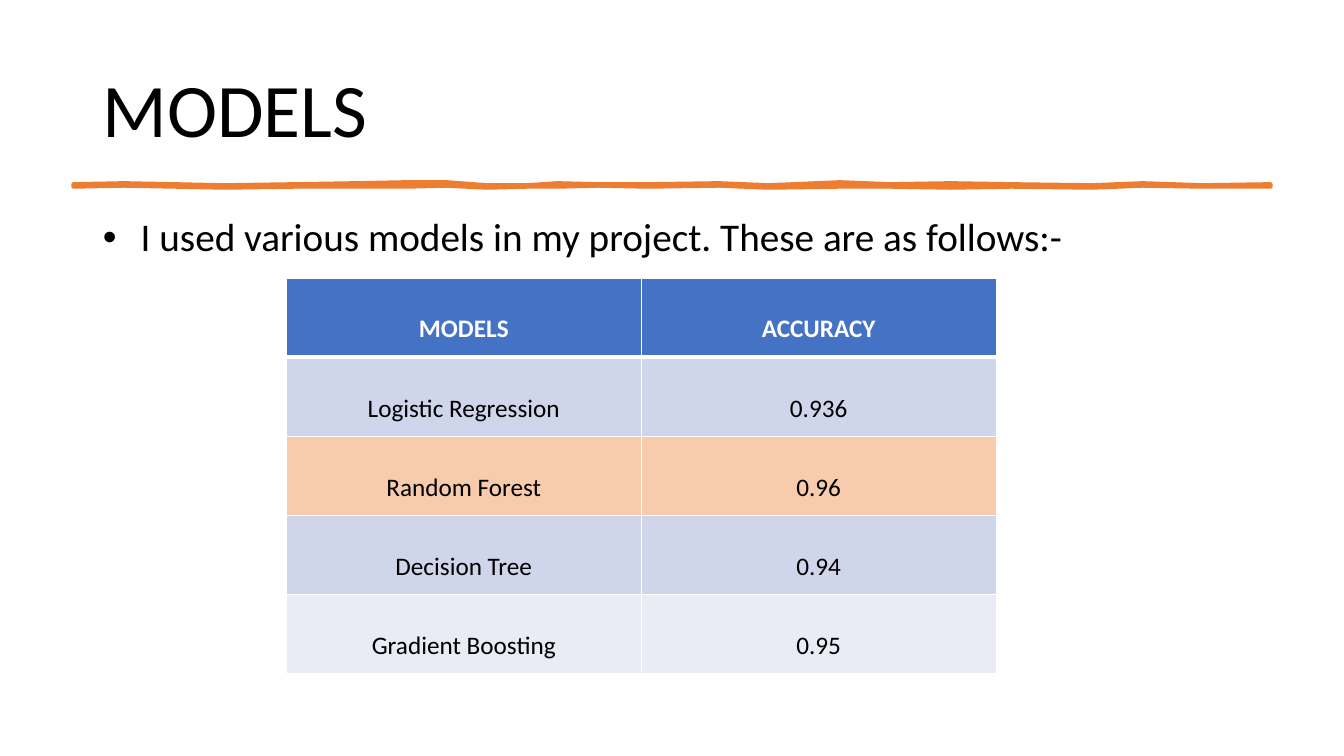
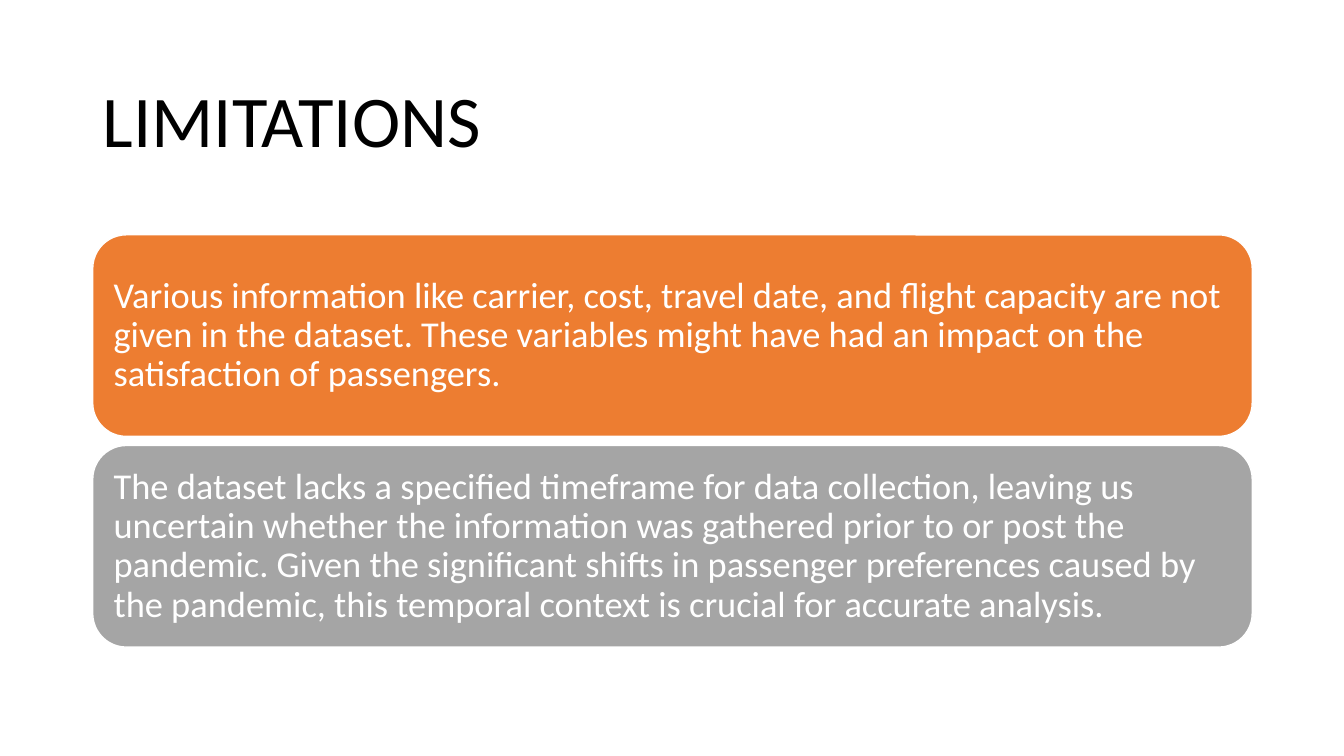
from pptx import Presentation
from pptx.dml.color import RGBColor
from pptx.enum import shapes, text
from pptx.oxml import ns
from pptx.util import Inches, Pt
from lxml import etree

COLORS = {
    "ink": "000000",
    "white": "FFFFFF",
    "orange": "ED7D31",
    "gray": "A5A5A5",
    "header": "4472C4",
    "band": "CFD5EA",
    "light": "E9EBF5",
    "highlight": "F8CBAD",
}
FONT = "Calibri"
MARGIN, CONTENT_WIDTH = 0.92, 11.5
TITLE_LAYOUT, BODY_LAYOUT = 5, 1

MODEL_ROWS = [
    ("header", "MODELS", "ACCURACY"),
    ("band", "Logistic Regression", "0.936"),
    ("highlight", "Random Forest", "0.96"),
    ("band", "Decision Tree", "0.94"),
    ("light", "Gradient Boosting", "0.95"),
]
LIMITATIONS = [
    ("orange", "Various information like carrier, cost, travel date, and flight "
     "capacity are not given in the dataset. These variables might have had an "
     "impact on the satisfaction of passengers."),
    ("gray", "The dataset lacks a specified timeframe for data collection, leaving "
     "us uncertain whether the information was gathered prior to or post the "
     "pandemic. Given the significant shifts in passenger preferences caused by "
     "the pandemic, this temporal context is crucial for accurate analysis."),
]
# Brush outline: distance from the left end, top edge, bottom edge
BRUSH = [
    (0, 0, 0.02), (0.5, -0.01, 0.01), (1, 0, 0.02), (1.5, 0.01, 0.03),
    (2.2, 0, 0.02), (2.8, -0.01, 0.02), (3.3, -0.02, 0.02), (3.7, -0.02, 0.01),
    (4.1, 0.01, 0.03), (4.5, 0.01, 0.02), (4.8, -0.01, 0.02), (5.2, 0, 0.01),
    (5.7, 0, 0.02), (6.4, -0.01, 0.01), (6.9, 0.01, 0.03), (7.6, -0.02, 0.02),
    (8.1, 0, 0.02), (8.7, -0.01, 0.03), (9.3, 0, 0.02), (10.1, 0.01, 0.03),
    (10.6, -0.01, 0.01), (11.2, 0.01, 0.02), (11.87, 0, 0.02),
]


def color(name):
    return RGBColor.from_string(COLORS[name])


def place(shape, box):
    shape.left, shape.top, shape.width, shape.height = map(Inches, box)


def write(frame, words, size, name, spacing=0.9, align=text.PP_ALIGN.LEFT, bold=False):
    frame.text = words
    para = frame.paragraphs[0]
    para.alignment = align
    para.line_spacing = spacing
    para.space_before = Pt(0)
    for span in para.runs:
        span.font.name = FONT
        span.font.size = Pt(size)
        span.font.bold = bold
        span.font.color.rgb = color(name)


def add_title(page, words, box, size):
    title = page.shapes.title
    place(title, box)
    frame = title.text_frame
    frame.auto_size = text.MSO_AUTO_SIZE.NONE
    frame.vertical_anchor = text.MSO_ANCHOR.MIDDLE
    write(frame, words, size, "ink")


def add_body(page, words, box):
    body = page.placeholders[1]
    place(body, box)
    frame = body.text_frame
    frame.auto_size = text.MSO_AUTO_SIZE.NONE
    # Plain sentence without bullet or hanging indent
    frame.text = words
    properties = frame.paragraphs[0]._p.get_or_add_pPr()
    properties.set("marL", "0")
    properties.set("indent", "0")
    etree.SubElement(properties, ns.qn("a:buNone"))
    write(frame, words, 28, "ink")


def add_brush_line(page, left, top):
    upper = [(left + x, top + high) for x, high, low in BRUSH]
    lower = [(left + x, top + low) for x, high, low in reversed(BRUSH)]
    points = [(Inches(x), Inches(y)) for x, y in upper + lower]
    builder = page.shapes.build_freeform(*points[0])
    builder.add_line_segments(points[1:], close=True)
    brush = builder.convert_to_shape()
    brush.shadow.inherit = False
    brush.fill.solid()
    brush.fill.fore_color.rgb = color("orange")
    brush.line.color.rgb = color("orange")
    brush.line.width = Pt(3.25)
    etree.SubElement(brush.line._get_or_add_ln(), ns.qn("a:round"))


def add_borders(cell, widths):
    properties = cell._tc.get_or_add_tcPr()
    for side, width in widths.items():
        line = etree.SubElement(properties, ns.qn("a:ln" + side), w=str(Pt(width)))
        fill = etree.SubElement(line, ns.qn("a:solidFill"))
        etree.SubElement(fill, ns.qn("a:srgbClr"), val=COLORS["white"])


def add_accuracy_table(page, box):
    columns = len(MODEL_ROWS[0]) - 1
    table = page.shapes.add_table(len(MODEL_ROWS), columns, *map(Inches, box)).table
    for row, (fill, *values) in enumerate(MODEL_ROWS):
        header = row == 0
        for column, value in enumerate(values):
            cell = table.cell(row, column)
            write(cell.text_frame, value, 18, "white" if header else "ink",
                  spacing=2.0, align=text.PP_ALIGN.CENTER, bold=header)
            add_borders(cell, {"L": 1, "R": 1, "T": 3 if row == 1 else 1,
                               "B": 3 if header else 1})
            cell.fill.solid()
            cell.fill.fore_color.rgb = color(fill)


def add_cards(page, box, gap):
    left, top, width, height = box
    card_height = (height - gap * (len(LIMITATIONS) - 1)) / len(LIMITATIONS)
    for index, (fill, words) in enumerate(LIMITATIONS):
        card = page.shapes.add_shape(shapes.MSO_SHAPE.ROUNDED_RECTANGLE, 0, 0, 0, 0)
        place(card, (left, top + index * (card_height + gap), width, card_height))
        card.shadow.inherit = False
        card.fill.solid()
        card.fill.fore_color.rgb = color(fill)
        card.line.color.rgb = color("white")
        card.line.width = Pt(1)
        frame = card.text_frame
        frame.word_wrap = True
        frame.vertical_anchor = text.MSO_ANCHOR.MIDDLE
        frame.margin_left = frame.margin_right = Inches(0.11)
        frame.margin_top = frame.margin_bottom = Inches(0.11)
        write(frame, words, 26, "white")


def models_slide(deck):
    page = deck.slides.add_slide(deck.slide_layouts[BODY_LAYOUT])
    add_title(page, "MODELS", (MARGIN, 0.4, CONTENT_WIDTH, 1.45), 54)
    add_brush_line(page, 0.73, 1.83)
    add_body(page, "I used various models in my project. These are as follows:-",
             (MARGIN, 2.11, CONTENT_WIDTH, 4.65))
    add_accuracy_table(page, (2.84, 2.76, 7.04, 3.92))


def limitations_slide(deck):
    page = deck.slides.add_slide(deck.slide_layouts[TITLE_LAYOUT])
    add_title(page, "LIMITATIONS", (MARGIN, 0.61, CONTENT_WIDTH, 1.24), 52)
    add_cards(page, (MARGIN, 2.33, CONTENT_WIDTH, 4.09), gap=0.09)


def main():
    deck = Presentation()
    deck.slide_width, deck.slide_height = Inches(13.33), Inches(7.5)
    models_slide(deck)
    limitations_slide(deck)
    deck.save("out.pptx")


if __name__ == "__main__":
    main()
